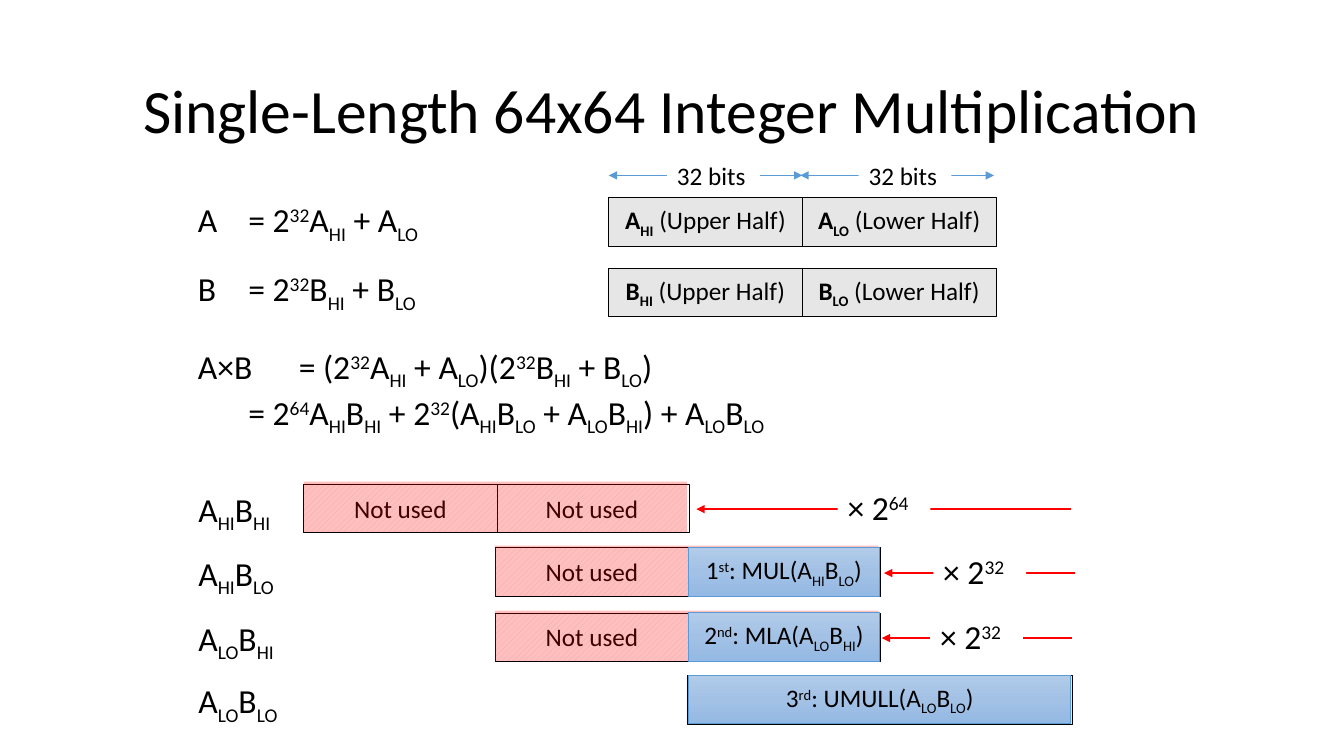
from copy import deepcopy
from dataclasses import dataclass
from lxml.etree import SubElement
from pptx import Presentation
from pptx.dml.color import RGBColor
from pptx.enum.dml import MSO_PATTERN
from pptx.enum.shapes import MSO_CONNECTOR, MSO_SHAPE
from pptx.enum.text import MSO_ANCHOR, MSO_AUTO_SIZE, PP_ALIGN
from pptx.oxml.ns import qn
from pptx.util import Cm, Pt

# Text: "|" parts runs, a leading "_" lowers a run, a leading "^" raises it
TITLE = "Single-Length 64x64 Integer Multiplication"
BITS = "32 bits"
SPARE = "Not used"
HALVES = [("HI", " (Upper Half)"), ("LO", " (Lower Half)")]
WORDS = [("A", 4.98), ("B", 6.76)]  # name, top of its two cells
SUMS = [  # top, lines
    (4.9, ["A\t= 2|^32|A|_HI| + A|_LO"]),
    (6.63, ["B\t= 2|^32|B|_HI| + B|_LO"]),
    (8.59, ["A×B\t= (2|^32|A|_HI| + A|_LO|)(2|^32|B|_HI| + B|_LO|)",
            "\t= 2|^64|A|_HI|B|_HI| + 2|^32|(A|_HI|B|_LO| + A|_LO|B|_HI|) + A|_LO|B|_LO"]),
]
ROWS = [  # name, top, first column, unused cells, (step, cells), (power, label, start, tip)
    ("A|_HI|B|_HI", 12.19, 0, 2, None, ("64", 21.11, 27, 17.55)),
    ("A|_HI|B|_LO", 13.8, 1, 1, ("1|^st|: MUL(A|_HI|B|_LO|)", 1), ("32", 23.52, 27.08, 22.28)),
    ("A|_LO|B|_HI", 15.44, 1, 1, ("2|^nd|: MLA(A|_LO|B|_HI|)", 1), ("32", 23.44, 27.02, 22.22)),
    ("A|_LO|B|_LO", 17.02, 2, 0, ("3|^rd|: UMULL(A|_LO|B|_LO|)", 2), None),
]


@dataclass
class Theme:
    """Colours, font and type sizes."""
    face: str = "Calibri"
    ink: str = "000000"
    paper: str = "FFFFFF"
    grey: str = "E7E6E6"
    red: str = "FF0000"
    blue: str = "5B9BD5"
    fade: tuple = ("B1CBE9", "A3C1E5", "93B9E4")
    big: int = 44
    mid: int = 24
    small: int = 18


LOOK = Theme()
LEFT, STEP, WIDE, HIGH = 7.65, 4.83, 4.88, 1.22  # product grid
HEAD = 15.34  # left edge of the operand cells

deck = Presentation()
deck.slide_width, deck.slide_height = Cm(33.87), Cm(19.05)
slide = deck.slides.add_slide(deck.slide_layouts[5])


def rgb(code):
    """Turn a hex code into a colour."""
    return RGBColor.from_string(code)


def write(frame, lines, size, center=False, bold=0):
    """Fill a frame run by run; the first few runs may be bold."""
    frame.word_wrap = True
    frame.auto_size = MSO_AUTO_SIZE.NONE
    frame.vertical_anchor = MSO_ANCHOR.MIDDLE if center else MSO_ANCHOR.TOP
    for row, line in enumerate(lines):
        para = frame.add_paragraph() if row else frame.paragraphs[0]
        para.alignment = PP_ALIGN.CENTER if center else PP_ALIGN.LEFT
        for spot, part in enumerate(line.split("|")):
            run = para.add_run()
            run.text = part.lstrip("_^")
            font = run.font
            font.name, font.size, font.bold = LOOK.face, Pt(size), spot < bold
            font.color.rgb = rgb(LOOK.ink)
            base = {"_": "-25000", "^": "30000"}.get(part[0])
            if base:
                run._r.get_or_add_rPr().set("baseline", base)


def note(x, y, w, h, lines):
    """Add a plain text box."""
    write(slide.shapes.add_textbox(Cm(x), Cm(y), Cm(w), Cm(h)).text_frame, lines, LOOK.mid)


def block(x, y, w, h, fill, edge=None, thick=0.25):
    """Add a rectangle with a flat fill and an optional edge."""
    box = slide.shapes.add_shape(MSO_SHAPE.RECTANGLE, Cm(x), Cm(y), Cm(w), Cm(h))
    box.shadow.inherit = False
    box.fill.solid()
    box.fill.fore_color.rgb = rgb(fill)
    if edge:
        box.line.color.rgb = rgb(edge)
        box.line.width = Pt(thick)
    else:
        box.line.fill.background()
    return box


def cell(x, y):
    """Add one grey 32-bit cell."""
    return block(x, y, WIDE, HIGH, LOOK.grey, LOOK.ink)


def spare(x, y):
    """Add a hatched cell for an unused half."""
    box = cell(x, y)
    box.fill.patterned()
    box.fill.pattern = MSO_PATTERN.WIDE_UPWARD_DIAGONAL
    box.fill.fore_color.rgb = rgb(LOOK.grey)
    box.fill.back_color.rgb = rgb(LOOK.paper)
    write(box.text_frame, [SPARE], LOOK.small, True)


def veil(x, y):
    """Add a see-through red sheet over two cells."""
    box = block(x, y - 0.05, 2 * STEP, HIGH + 0.05, LOOK.red)
    tint = box._element.spPr.find(".//" + qn("a:srgbClr"))
    SubElement(tint, qn("a:alpha"), val="25000")


def step(x, y, text, count):
    """Add a shaded blue bar that names an instruction."""
    box = block(x + 0.05, y, count * STEP - 0.04, HIGH, LOOK.blue, LOOK.blue, 0.5)
    box.fill.gradient()
    box.fill.gradient_angle = 270
    first = box._element.spPr.find(".//" + qn("a:gs"))
    first.addnext(deepcopy(first))
    for spot, (stop, code) in enumerate(zip(box.fill.gradient_stops, LOOK.fade)):
        stop.color.rgb = rgb(code)
        stop.position = spot / 2
    write(box.text_frame, [text], LOOK.small, True)


def arrow(start, tip, y, color, thick, ends):
    """Add a level line with the given arrowheads."""
    line = slide.shapes.add_connector(MSO_CONNECTOR.STRAIGHT, Cm(start), Cm(y), Cm(tip), Cm(y))
    line.line.color.rgb = rgb(color)
    line.line.width = Pt(thick)
    for end in ends:
        SubElement(line.line._get_or_add_ln(), qn("a:" + end), type="triangle")
    SubElement(line._element.spPr, qn("a:effectLst"))


def label(x, y, h, text, size):
    """Add a white label that breaks a line."""
    write(block(x, y, 2.34, h, LOOK.paper).text_frame, [text], size)


def operands():
    """Draw the two halves of A and B with their widths."""
    for col, (half, hint) in enumerate(HALVES):
        x = HEAD + col * STEP
        arrow(x, x + WIDE, 4.42, LOOK.blue, 0.5, ["headEnd", "tailEnd"])
        label(x + 1.47, 3.91, 1.02, BITS, LOOK.small)
        for name, y in WORDS:
            box = cell(HEAD + col * WIDE, y)
            write(box.text_frame, [f"{name}|_{half}|{hint}"], LOOK.small, True, bold=2)


def product(name, y, first, empty, work, shift):
    """Draw one partial product, its cells and its shift."""
    x = LEFT + first * STEP
    note(4.75, y, 2.8, 1.27, [name])
    for col in (1, 0):
        (spare if col < empty else cell)(x + col * STEP, y)
    if empty:
        veil(x, y)
    if work:
        step(x + empty * STEP, y, *work)
    if shift:
        power, spot, start, tip = shift
        arrow(start, tip, y + 0.64, LOOK.red, 1.5, ["tailEnd"])
        label(spot, y - 0.04, 1.27, "× 2|^" + power, LOOK.mid)


title = slide.shapes.title
title.left, title.top, title.width, title.height = Cm(2.33), Cm(1.01), Cm(29.21), Cm(3.68)
write(title.text_frame, [TITLE], LOOK.big, True)
title.text_frame.paragraphs[0].line_spacing = 0.9
for entry in ROWS:
    product(*entry)
operands()
for top, lines in SUMS:
    note(4.74, top, 17.1 if len(lines) > 1 else 9.5, 1.17 * len(lines), lines)
deck.save("out.pptx")
